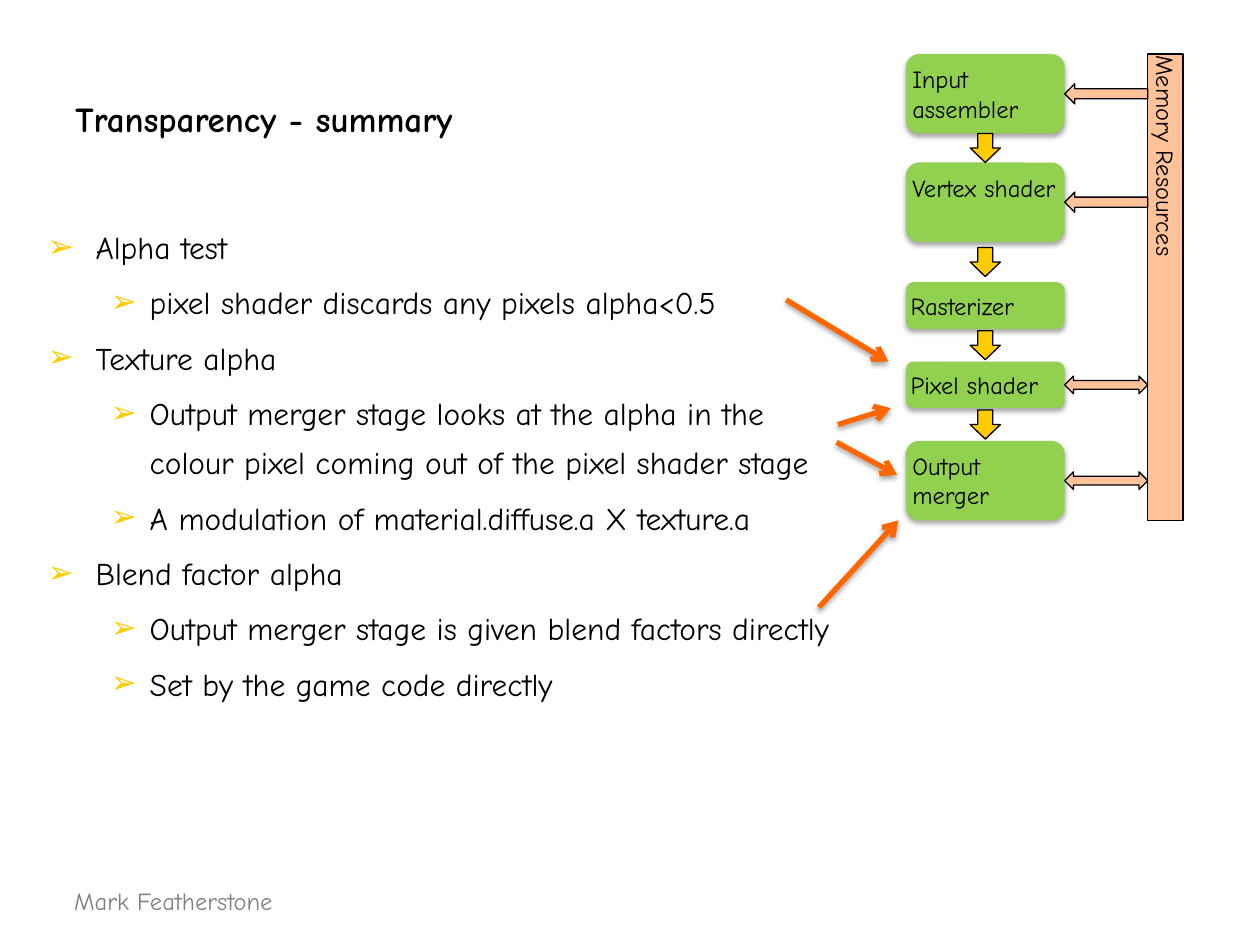
from dataclasses import dataclass
from itertools import pairwise

from lxml.etree import SubElement
from pptx import Presentation
from pptx.dml.color import RGBColor
from pptx.enum.shapes import MSO_CONNECTOR, MSO_SHAPE
from pptx.enum.text import MSO_ANCHOR, PP_ALIGN
from pptx.oxml.ns import qn
from pptx.util import Inches, Pt


@dataclass(frozen=True)
class Theme:
    font: str = "Comic Neue"
    ink: str = "000000"
    muted: str = "808080"
    stage: str = "92D050"
    flow: str = "FFCC00"
    memory: str = "FFC299"
    pointer: str = "FF6600"
    title_size: int = 20
    body_size: int = 18
    label_size: int = 14


THEME = Theme()

TITLE = "Transparency - summary"
AUTHOR = "Mark Featherstone"
POINTS = [  # level, text
    (0, "Alpha test"),
    (1, "pixel shader discards any pixels alpha<0.5"),
    (0, "Texture alpha"),
    (1, "Output merger stage looks at the alpha in the colour pixel coming out of the pixel shader stage"),
    (1, "A modulation of material.diffuse.a X texture.a"),
    (0, "Blend factor alpha"),
    (1, "Output merger stage is given blend factors directly"),
    (1, "Set by the game code directly"),
]
INDENTS = [(0.38, -0.38), (0.81, -0.31)]  # left margin and first line, by level

READS, READS_AND_WRITES = (MSO_SHAPE.LEFT_ARROW, 0.16), (MSO_SHAPE.LEFT_RIGHT_ARROW, 0.14)
STAGES = [  # label, top, height, memory access
    ("Input assembler", 0.43, 0.63, READS),
    ("Vertex shader", 1.29, 0.63, READS),
    ("Rasterizer", 2.24, 0.37, None),
    ("Pixel shader", 2.87, 0.37, READS_AND_WRITES),
    ("Output merger", 3.5, 0.63, READS_AND_WRITES),
]
MEMORY = "Memory Resources"
STAGE_LEFT, STAGE_WIDTH = 7.19, 1.26
MEMORY_LEFT, MEMORY_WIDTH = 9.11, 0.28
FLOW_WIDTH, FLOW_HEIGHT = 0.24, 0.23

POINTERS = [  # from, to
    ((6.65, 3.37), (7.07, 3.24)),
    ((6.64, 3.51), (7.12, 3.77)),
    ((6.5, 4.82), (7.13, 4.13)),  # starts just above the blend factor line
    ((6.24, 2.38), (7.05, 2.87)),
]


def color(value):
    return RGBColor.from_string(value)


def add_span(para, text, size, ink=THEME.ink, bold=False):
    span = para.add_run()
    span.text = text
    span.font.name = THEME.font
    span.font.size = Pt(size)
    span.font.bold = bold
    span.font.color.rgb = color(ink)


def add_text_box(page, *place):
    box = page.shapes.add_textbox(*map(Inches, place))
    box.text_frame.word_wrap = True
    return box.text_frame


def add_block(page, kind, place, fill, outlined=True):
    block = page.shapes.add_shape(kind, *map(Inches, place))
    block.shadow.inherit = False
    block.fill.solid()
    block.fill.fore_color.rgb = color(fill)
    if outlined:
        block.line.color.rgb = color(THEME.ink)
        block.line.width = Pt(0.75)
    else:
        block.line.fill.background()
    return block


def add_label(block, text, top_margin=0.05):
    frame = block.text_frame
    frame.word_wrap = True
    frame.vertical_anchor = MSO_ANCHOR.TOP
    frame.margin_left = frame.margin_right = Inches(0.02)
    frame.margin_top, frame.margin_bottom = Inches(top_margin), Inches(0.05)
    para = frame.paragraphs[0]
    para.alignment = PP_ALIGN.LEFT
    add_span(para, text, THEME.label_size)


def add_shadow(properties):
    """Give shape properties a soft black shadow that falls straight down."""
    effects = properties.find(qn("a:effectLst"))
    if effects is None:
        effects = SubElement(properties, qn("a:effectLst"))
    shadow = SubElement(effects, qn("a:outerShdw"), blurRad=str(Pt(3.1)),
                        dist=str(Pt(1.8)), dir="5400000", rotWithShape="0")
    black = SubElement(shadow, qn("a:srgbClr"), val=THEME.ink)
    SubElement(black, qn("a:alpha"), val="35000")


def add_bullet(para, level):
    properties = para._p.get_or_add_pPr()
    margin, first_line = INDENTS[level]
    properties.set("marL", str(Inches(margin)))
    properties.set("indent", str(Inches(first_line)))
    tint = SubElement(properties, qn("a:buClr"))
    SubElement(tint, qn("a:srgbClr"), val=THEME.flow)
    SubElement(properties, qn("a:buFont"), typeface=THEME.font)
    SubElement(properties, qn("a:buChar"), char="➢")


def add_points(page):
    frame = add_text_box(page, 0.28, 1.67, 6.61, 4.96)
    for number, (level, text) in enumerate(POINTS):
        para = frame.add_paragraph() if number else frame.paragraphs[0]
        para.level = level
        add_bullet(para, level)
        para.line_spacing = 1.3
        if number:
            para.space_before = Pt(3.6)
        add_span(para, text, THEME.body_size)


def add_pipeline(page):
    for label, top, height, _ in STAGES:
        stage = add_block(page, MSO_SHAPE.ROUNDED_RECTANGLE,
                          (STAGE_LEFT, top, STAGE_WIDTH, height), THEME.stage, outlined=False)
        add_shadow(stage._element.spPr)
        add_label(stage, label)

    flow_left = STAGE_LEFT + (STAGE_WIDTH - FLOW_WIDTH) / 2
    for (_, top, height, _), (_, next_top, _, _) in pairwise(STAGES):
        flow_top = (top + height + next_top - FLOW_HEIGHT) / 2
        add_block(page, MSO_SHAPE.DOWN_ARROW,
                  (flow_left, flow_top, FLOW_WIDTH, FLOW_HEIGHT), THEME.flow)

    first_top = STAGES[0][1]
    bottom = STAGES[-1][1] + STAGES[-1][2]
    memory = add_block(page, MSO_SHAPE.RECTANGLE,
                       (MEMORY_LEFT, first_top, MEMORY_WIDTH, bottom - first_top), THEME.memory)
    add_label(memory, MEMORY, top_margin=0.01)
    memory.text_frame._txBody.bodyPr.set("vert", "vert")

    stage_right = STAGE_LEFT + STAGE_WIDTH
    for _, top, height, access in STAGES:
        if access:
            kind, thickness = access
            add_block(page, kind, (stage_right, top + (height - thickness) / 2,
                                   MEMORY_LEFT - stage_right, thickness), THEME.memory)


def add_pointers(page):
    for start, end in POINTERS:
        pointer = page.shapes.add_connector(MSO_CONNECTOR.STRAIGHT, *map(Inches, start + end))
        pointer.line.color.rgb = color(THEME.pointer)
        pointer.line.width = Pt(3)
        SubElement(pointer.line._get_or_add_ln(), qn("a:tailEnd"), type="arrow")
        add_shadow(pointer._element.spPr)


def main():
    deck = Presentation()
    deck.slide_width, deck.slide_height = Inches(10), Inches(7.5)
    page = deck.slides.add_slide(deck.slide_layouts[6])

    author = add_text_box(page, 0.49, 6.98, 2.55, 0.34)
    add_span(author.paragraphs[0], AUTHOR, THEME.label_size, THEME.muted)
    title = add_text_box(page, 0.5, 0.58, 9, 0.58)
    title.vertical_anchor = MSO_ANCHOR.BOTTOM
    add_span(title.paragraphs[0], TITLE, THEME.title_size, bold=True)

    add_points(page)
    add_pipeline(page)
    add_pointers(page)
    deck.save("out.pptx")


if __name__ == "__main__":
    main()
